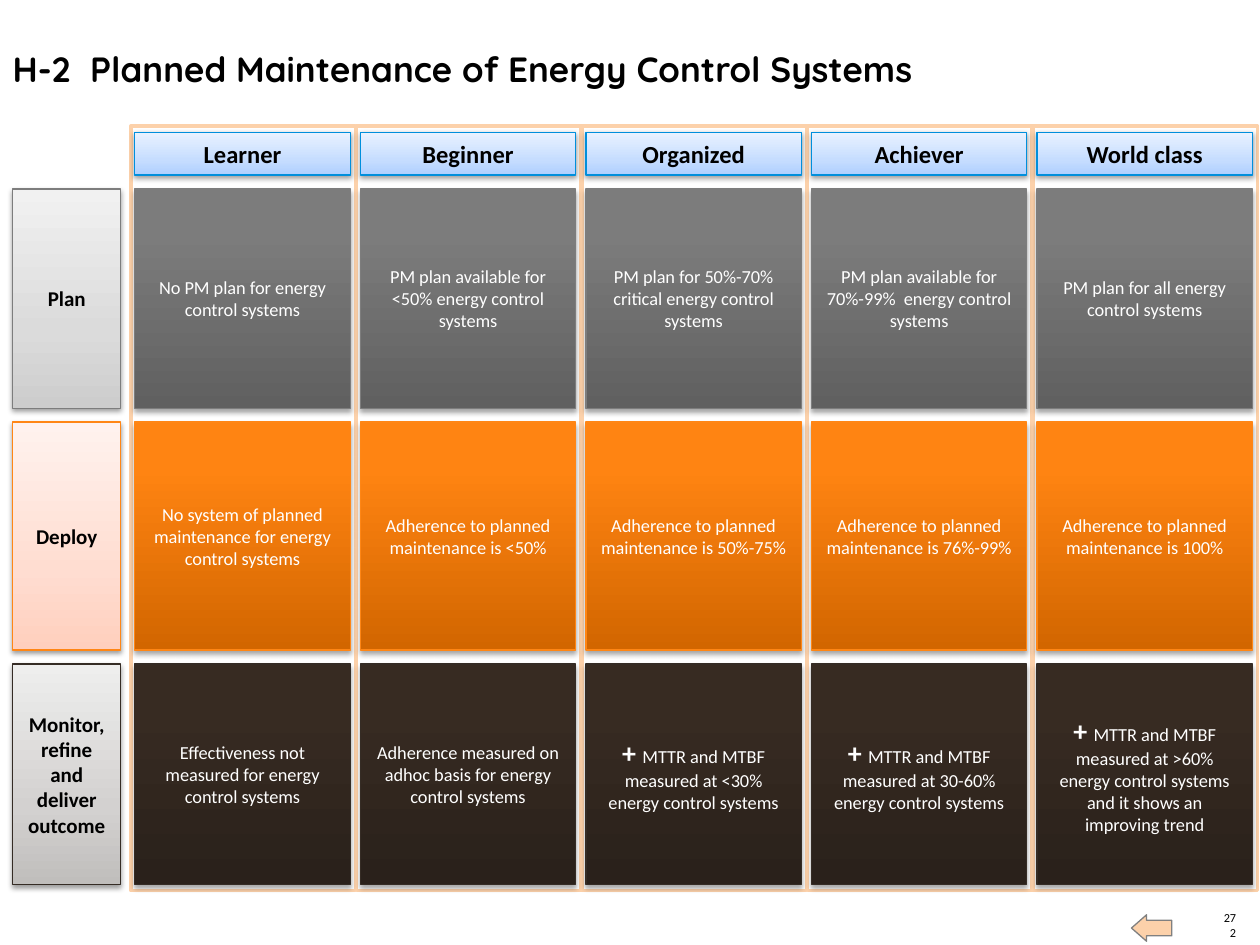
from dataclasses import dataclass

from lxml.etree import SubElement
from pptx import Presentation
from pptx.dml.color import RGBColor
from pptx.enum.shapes import MSO_SHAPE as Shape
from pptx.enum.text import MSO_ANCHOR as Anchor, MSO_AUTO_SIZE as AutoSize, PP_ALIGN as Align
from pptx.oxml.ns import qn
from pptx.util import Inches, Pt

# Grid, in inches: five level columns, one header row and three stage rows
LABEL_X, LABEL_W = 0.1, 0.86
COL_X, COL_PITCH, CARD_W = 1.07, 1.79, 1.71
FRAME_Y, FRAME_W, FRAME_H, FRAME_PAD = 1, 1.78, 6.07, 0.03
HEADER_Y, HEADER_H = 1.05, 0.34
PEACH = "FCD1AA"


@dataclass
class Style:
    stops: dict[int, str]
    line: str
    shadow_alpha: int
    shadow_dist: float
    size: float
    color: str
    bold: bool


@dataclass
class Stage:
    name: str
    y: float
    h: float
    label: Style
    card: Style
    texts: list[str]


def label_style(low: str, mid: str, high: str, line: str, size: float = 12) -> Style:
    return Style({0: low, 35: mid, 100: high}, line, 38, 1.6, size, "000000", True)


def card_style(low: str, mid: str, high: str, line: str) -> Style:
    return Style({0: low, 80: mid, 100: high}, line, 35, 1.8, 10.5, "FFFFFF", False)


HEADER = label_style("AECFFF", "C6DDFF", "E9F2FF", "008FDC", size=14)
LEVELS = ["Learner", "Beginner", "Organized", "Achiever", "World class"]
STAGES = [
    Stage("Plan", 1.5, 1.74,
          label_style("CDCDCD", "DBDBDB", "F1F1F1", "7D7D7D"),
          card_style("606060", "7C7C7C", "7D7D7D", "7D7D7D"),
          ["No PM plan for energy control systems",
           "PM plan available for <50% energy control systems",
           "PM plan for 50%-70% critical energy control systems",
           "PM plan available for 70%-99%  energy control systems",
           "PM plan for all energy control systems"]),
    Stage("Deploy", 3.35, 1.81,
          label_style("FFCFBD", "FFDDD1", "FFF2EE", "FF8615"),
          card_style("D26600", "FF8412", "FF8514", "FF8615"),
          ["No system of planned maintenance for energy control systems",
           "Adherence to planned maintenance is <50%",
           "Adherence to planned maintenance is 50%-75%",
           "Adherence to planned maintenance is 76%-99%",
           "Adherence to planned maintenance is 100%"]),
    Stage("Monitor, refine and deliver outcome", 5.27, 1.75,
          label_style("C0BEBC", "D3D1D0", "EEEEED", "352C25"),
          card_style("2A211B", "372B22", "372B22", "352C25"),
          ["Effectiveness not measured for energy control systems",
           "Adherence measured on adhoc basis for energy control systems",
           "+ MTTR and MTBF measured at <30% energy control systems",
           "+ MTTR and MTBF measured at 30-60% energy control systems",
           "+ MTTR and MTBF measured at >60% energy control systems "
           "and it shows an improving trend"]),
]


def rgb(value: str) -> RGBColor:
    return RGBColor.from_string(value)


def add_run(p, text: str, *, size: float, color: str = "000000",
            bold: bool = False, font: str = "Calibri") -> None:
    r = p.add_run()
    r.text = text
    r.font.size, r.font.bold, r.font.name = Pt(size), bold, font
    r.font.color.rgb = rgb(color)


def add_box(s, x: float, y: float, w: float, h: float, *, line: str, weight: float = 0.75,
            fill: str = "FFFFFF", kind=Shape.RECTANGLE):
    sp = s.shapes.add_shape(kind, Inches(x), Inches(y), Inches(w), Inches(h))
    sp.shadow.inherit = False
    sp.fill.solid()
    sp.fill.fore_color.rgb = rgb(fill)
    sp.line.color.rgb = rgb(line)
    sp.line.width = Pt(weight)
    return sp


def add_color(parent, value: str):
    return SubElement(parent, qn("a:srgbClr"), val=value)


def set_gradient(sp, stops: dict[int, str]) -> None:
    """Fill with colour stops that run from the bottom edge to the top."""
    solid = sp._element.spPr.find(qn("a:solidFill"))
    grad = solid.makeelement(qn("a:gradFill"), {"rotWithShape": "1"})
    solid.getparent().replace(solid, grad)
    gs_list = SubElement(grad, qn("a:gsLst"))
    for pos, value in stops.items():
        add_color(SubElement(gs_list, qn("a:gs"), pos=str(pos * 1000)), value)
    SubElement(grad, qn("a:lin"), ang=str(270 * 60000), scaled="0")


def set_shadow(sp, alpha: int, dist: float) -> None:
    effects = sp._element.spPr.find(qn("a:effectLst"))
    shadow = SubElement(effects, qn("a:outerShdw"), blurRad=str(Pt(3.1)),
                        dist=str(Pt(dist)), dir=str(90 * 60000), rotWithShape="0")
    SubElement(add_color(shadow, "000000"), qn("a:alpha"), val=str(alpha * 1000))


def add_card(s, x: float, y: float, w: float, h: float, text: str, style: Style) -> None:
    sp = add_box(s, x, y, w, h, line=style.line)
    set_gradient(sp, style.stops)
    set_shadow(sp, style.shadow_alpha, style.shadow_dist)
    tf = sp.text_frame
    tf.word_wrap = True
    tf.vertical_anchor = Anchor.MIDDLE
    p = tf.paragraphs[0]
    p.alignment = Align.CENTER
    if text.startswith("+ "):
        add_run(p, "+ ", size=16, color=style.color, bold=True)
        text = text[2:]
    add_run(p, text, size=style.size, color=style.color, bold=style.bold)


def add_title(s, text: str) -> None:
    sp = s.shapes.title
    sp.left, sp.top, sp.width, sp.height = Inches(0), Inches(0.33), Inches(8.6), Inches(0.44)
    tf = sp.text_frame
    tf.auto_size = AutoSize.NONE
    tf.vertical_anchor = Anchor.TOP
    p = tf.paragraphs[0]
    p.alignment = Align.LEFT
    add_run(p, text, size=20, bold=True, font="Quicksand")


def add_footer(s, number: str) -> None:
    arrow = add_box(s, 8.98, 7.26, 0.32, 0.21, fill=PEACH, line="808080",
                    kind=Shape.RIGHT_ARROW)
    arrow.rotation = 180
    arrow.adjustments[0], arrow.adjustments[1] = 0.59, 0.57
    sp = s.shapes.add_textbox(Inches(9.69), Inches(7.34), Inches(0.12), Inches(0.12))
    tf = sp.text_frame
    tf.margin_left = tf.margin_right = tf.margin_top = tf.margin_bottom = 0
    tf.word_wrap = True
    tf.vertical_anchor = Anchor.BOTTOM
    p = tf.paragraphs[0]
    p.alignment = Align.RIGHT
    add_run(p, number, size=7)


def main() -> None:
    prs = Presentation()
    prs.slide_width, prs.slide_height = Inches(10), Inches(7.5)
    s = prs.slides.add_slide(prs.slide_layouts[5])
    add_footer(s, "272")
    add_title(s, "H-2  Planned Maintenance of Energy Control Systems")

    # Stage labels on the left
    for stage in STAGES:
        add_card(s, LABEL_X, stage.y, LABEL_W, stage.h, stage.name, stage.label)

    # Column frames, then the cards and headers on top of them
    columns = [COL_X + i * COL_PITCH for i in range(len(LEVELS))]
    for x in columns:
        add_box(s, x - FRAME_PAD, FRAME_Y, FRAME_W, FRAME_H, line=PEACH, weight=2)
    for stage in STAGES:
        for x, text in zip(columns, stage.texts):
            add_card(s, x, stage.y, CARD_W, stage.h, text, stage.card)
    for x, level in zip(columns, LEVELS):
        add_card(s, x, HEADER_Y, CARD_W, HEADER_H, level, HEADER)

    prs.save("out.pptx")


if __name__ == "__main__":
    main()
